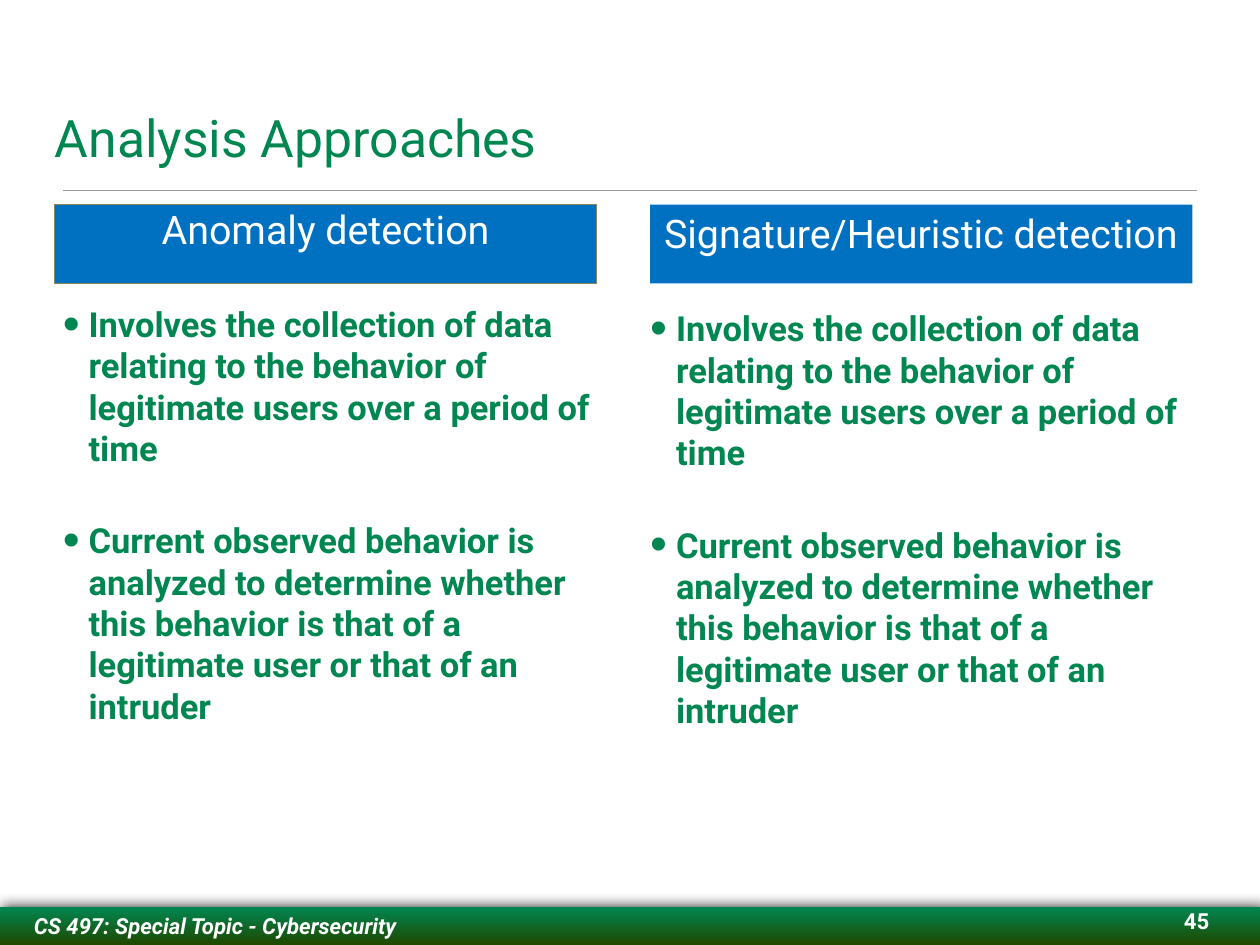
from dataclasses import dataclass

from lxml.etree import SubElement
from pptx import Presentation
from pptx.dml.color import RGBColor
from pptx.enum.shapes import MSO_CONNECTOR, MSO_SHAPE
from pptx.enum.text import MSO_ANCHOR, MSO_AUTO_SIZE, PP_ALIGN
from pptx.oxml import parse_xml
from pptx.oxml.ns import nsdecls, qn
from pptx.util import Cm, Pt


@dataclass(frozen=True)
class Theme:
    font: str = "Roboto"
    green: RGBColor = RGBColor(0x00, 0x87, 0x51)
    dark: RGBColor = RGBColor(0x1F, 0x48, 0x00)
    blue: RGBColor = RGBColor(0x00, 0x70, 0xC0)
    olive: RGBColor = RGBColor(0x88, 0x88, 0x5A)
    grey: RGBColor = RGBColor(0x9A, 0x9A, 0x9A)
    white: RGBColor = RGBColor(0xFF, 0xFF, 0xFF)
    title: int = 42
    head: int = 32
    body: int = 28
    foot: int = 18


THEME = Theme()
WIDE, HIGH = 36.12, 27.1
POINTS = (
    "Involves the collection of data relating to the behavior of "
    "legitimate users over a period of time",
    "Current observed behavior is analyzed to determine whether this "
    "behavior is that of a legitimate user or that of an intruder",
)


def place(shape, left, top, width, height):
    shape.left, shape.top = Cm(left), Cm(top)
    shape.width, shape.height = Cm(width), Cm(height)


def setup(shape, anchor, side=0, edge=0, wrap=True):
    """Set the text frame's margins and anchor, and return the frame."""
    frame = shape.text_frame
    frame.margin_left = frame.margin_right = Cm(side)
    frame.margin_top = frame.margin_bottom = Cm(edge)
    frame.vertical_anchor = anchor
    frame.word_wrap = wrap
    frame.auto_size = MSO_AUTO_SIZE.NONE
    return frame


def write(para, text, size, color, align=PP_ALIGN.LEFT, bold=False, italic=False):
    para.alignment = align
    run = para.add_run()
    run.text = text
    font = run.font
    font.name, font.size = THEME.font, Pt(size)
    font.bold, font.italic = bold, italic
    font.color.rgb = color


def bullet(para):
    props = para._p.get_or_add_pPr()
    props.set("marL", str(Cm(0.74)))
    props.set("indent", str(-Cm(0.74)))
    SubElement(props, qn("a:buSzPct")).set("val", "140000")
    SubElement(props, qn("a:buChar")).set("char", "•")


def heading(slide, box):
    """Title with the rule below it."""
    left, top, width, height = box
    title = slide.shapes.title
    place(title, *box)
    frame = setup(title, MSO_ANCHOR.BOTTOM)
    write(frame.paragraphs[0], "Analysis Approaches", THEME.title, THEME.green)

    level = Cm(top + height + 0.66)
    rule = slide.shapes.add_connector(
        MSO_CONNECTOR.STRAIGHT, Cm(left + 0.23), level, Cm(left + width - 0.2), level)
    rule.line.color.rgb = THEME.grey
    rule.line.width = Pt(1)
    SubElement(rule._element.spPr, qn("a:effectLst"))


def column(slide, box, holder, label, shift, side, edge, border):
    """Blue header with a bullet list below it."""
    left, top, width, height = box
    head = slide.shapes.add_shape(
        MSO_SHAPE.RECTANGLE, Cm(left), Cm(top), Cm(width), Cm(2.26))
    head.shadow.inherit = False
    head.fill.solid()
    head.fill.fore_color.rgb = THEME.blue
    if border:
        head.line.color.rgb = border
        head.line.width = Pt(1)
    else:
        head.line.fill.background()
    frame = setup(head, MSO_ANCHOR.TOP, side, edge)
    write(frame.paragraphs[0], label, THEME.head, THEME.white, PP_ALIGN.CENTER)

    # Bullet list
    across, down = shift
    place(holder, left + across, top + down, width - 0.2, height - down)
    frame = setup(holder, MSO_ANCHOR.TOP)
    for rank, point in enumerate(POINTS):
        para = frame.add_paragraph() if rank else frame.paragraphs[0]
        para.space_before, para.space_after = Pt(30), Pt(11.4)
        bullet(para)
        write(para, point, THEME.body, THEME.green, bold=True)


def footer(slide, box):
    """Gradient bar with the course name and the page number."""
    left, top, width, height = box
    bar = slide.shapes.add_shape(
        MSO_SHAPE.RECTANGLE, Cm(left), Cm(top), Cm(width), Cm(height))
    bar.line.fill.background()
    bar.fill.gradient()
    bar.fill.gradient_angle = 270
    for stop, color in zip(bar.fill.gradient_stops, (THEME.green, THEME.dark)):
        stop.color.rgb = color
    bar.shadow.inherit = False
    glow = bar._element.spPr.find(qn("a:effectLst"))
    glow.append(parse_xml(
        f'<a:outerShdw {nsdecls("a")} blurRad="{Pt(10)}" dist="{Pt(2)}" '
        'dir="18900000" rotWithShape="0"><a:srgbClr val="000000">'
        '<a:alpha val="75000"/></a:srgbClr></a:outerShdw>'))
    frame = setup(bar, MSO_ANCHOR.MIDDLE, side=0.97)
    write(frame.paragraphs[0], "CS 497: Special Topic - Cybersecurity",
          THEME.foot, THEME.white, bold=True, italic=True)

    # Page number
    page = slide.shapes.add_textbox(
        Cm(left + width - 2.11), Cm(top), Cm(0.66), Cm(0.76))
    frame = setup(page, MSO_ANCHOR.TOP, wrap=False)
    write(frame.paragraphs[0], "45", THEME.foot, THEME.white, PP_ALIGN.RIGHT, bold=True)


def main():
    deck = Presentation()
    deck.slide_width, deck.slide_height = Cm(WIDE), Cm(HIGH)
    slide = deck.slides.add_slide(deck.slide_layouts[3])
    first, second = slide.placeholders[1], slide.placeholders[2]

    heading(slide, (1.57, 0.91, 32.94, 3.89))
    column(slide, (1.57, 5.87, 15.54, 15.44), first, "Anomaly detection",
           (0.23, 2.82), 0, 0, THEME.olive)
    column(slide, (18.64, 5.87, 15.54, 15.31), second, "Signature/Heuristic detection",
           (0, 2.94), 0.25, 0.13, None)
    footer(slide, (0, HIGH - 1.09, WIDE, 1.09))
    deck.save("out.pptx")


if __name__ == "__main__":
    main()
